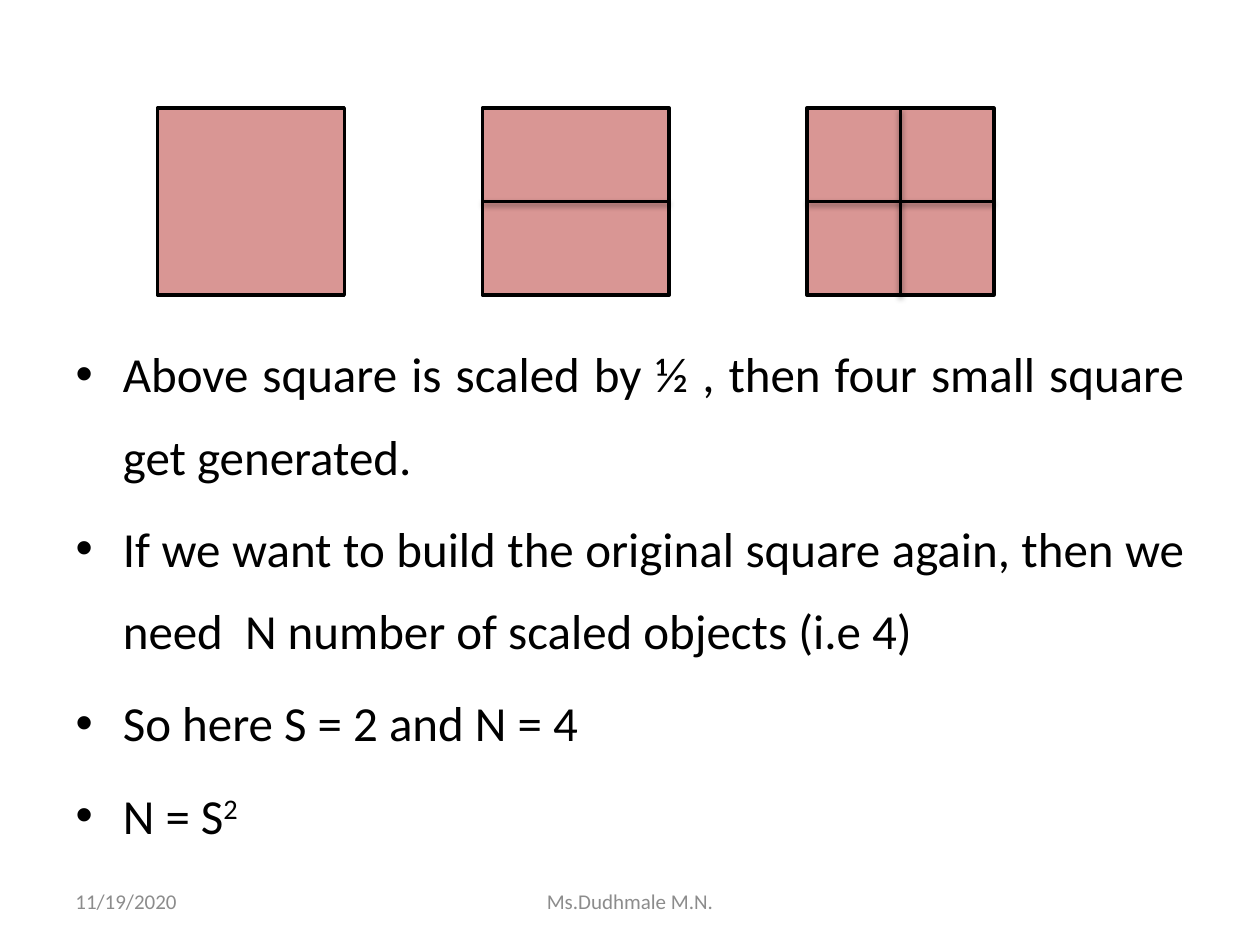
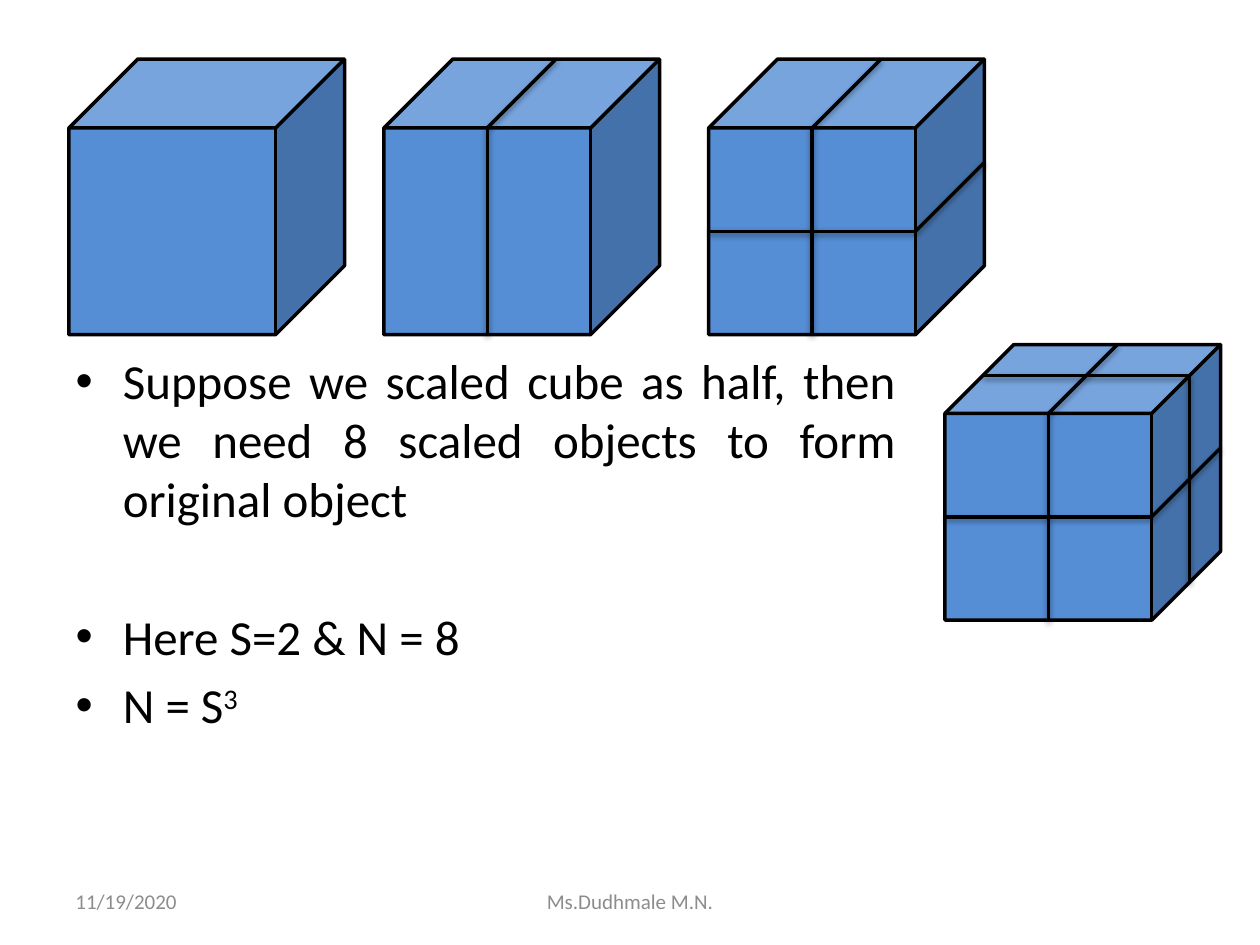
import pptx
import pptx.dml.color
import pptx.enum.shapes
import pptx.enum.text
import pptx.oxml
import pptx.oxml.ns
import pptx.util

Pt = pptx.util.Pt
Shape = pptx.enum.shapes.MSO_SHAPE
Align = pptx.enum.text.PP_ALIGN

COLORS = {"ink": "000000", "footer": "8C8C8C", "square": "D99694", "cube": "558ED5"}
FONT = "Calibri"
LINE_WIDTH = 2
BULLET_GAP = 5.6
CUBE_SIZE = 157.5
CUBE_DEPTH = CUBE_SIZE / 4
SHADOW = (
    f'<a:effectLst {pptx.oxml.ns.nsdecls("a")}>'
    '<a:outerShdw blurRad="40000" dist="20000" dir="5400000" rotWithShape="0">'
    '<a:srgbClr val="000000"><a:alpha val="38000"/></a:srgbClr>'
    '</a:outerShdw></a:effectLst>'
)


def rgb(name):
    return pptx.dml.color.RGBColor.from_string(COLORS[name])


def write_text(paragraph, text, size=28, color="ink", align=None, superscript=False):
    """Add one formatted run to a paragraph."""
    if align is not None:
        paragraph.alignment = align
    run = paragraph.add_run()
    run.text = text
    run.font.name = FONT
    run.font.size = Pt(size)
    run.font.color.rgb = rgb(color)
    if superscript:
        run.font._element.set("baseline", "30000")


class Deck:
    """Holds the presentation, its style and the current slide."""

    def __init__(self):
        self.presentation = pptx.Presentation()
        self.presentation.slide_width = Pt(720)
        self.presentation.slide_height = Pt(540)
        self.slide = None

    def new_slide(self):
        layout = self.presentation.slide_layouts[1]
        self.slide = self.presentation.slides.add_slide(layout)
        title = self.slide.shapes.title.element
        title.getparent().remove(title)

    def bullets(self, left, top, width, height, items, line_spacing=1.0):
        """Each item is (text, superscript, space before)."""
        body = self.slide.placeholders[1]
        body.left, body.top, body.width, body.height = map(Pt, (left, top, width, height))
        frame = body.text_frame
        frame.auto_size = pptx.enum.text.MSO_AUTO_SIZE.NONE
        for index, (text, superscript, gap) in enumerate(items):
            paragraph = frame.add_paragraph() if index else frame.paragraphs[0]
            paragraph.line_spacing = line_spacing
            paragraph.space_before = Pt(gap)
            write_text(paragraph, text, align=Align.JUSTIFY)
            if superscript:
                write_text(paragraph, superscript, superscript=True)

    def solid(self, kind, left, top, size, color):
        shape = self.slide.shapes.add_shape(kind, Pt(left), Pt(top), Pt(size), Pt(size))
        shape.shadow.inherit = False
        shape.fill.solid()
        shape.fill.fore_color.rgb = rgb(color)
        shape.line.color.rgb = rgb("ink")
        shape.line.width = Pt(LINE_WIDTH)
        return shape

    def line(self, x1, y1, x2, y2):
        connector = self.slide.shapes.add_connector(
            pptx.enum.shapes.MSO_CONNECTOR.STRAIGHT, Pt(x1), Pt(y1), Pt(x2), Pt(y2))
        connector.line.color.rgb = rgb("ink")
        connector.line.width = Pt(LINE_WIDTH)
        connector._element.spPr.append(pptx.oxml.parse_xml(SHADOW))
        return connector

    def square(self, left, top, size, cuts=()):
        """Draw a square, cut between the given pairs of opposite sides."""
        square = self.solid(Shape.RECTANGLE, left, top, size, "square")
        for begin, end in cuts:
            cut = self.line(left, top, left + size, top + size)
            cut.begin_connect(square, begin)
            cut.end_connect(square, end)

    def cube(self, left, top, cuts=()):
        """Draw a cube, halved by width, height or depth."""
        self.solid(Shape.CUBE, left, top, CUBE_SIZE, "cube")
        front = CUBE_SIZE - CUBE_DEPTH
        front_top, front_right = top + CUBE_DEPTH, left + front
        bottom, right = top + CUBE_SIZE, left + CUBE_SIZE
        if "width" in cuts:
            middle = left + front / 2
            self.line(middle, front_top, middle, bottom)
            self.line(middle + CUBE_DEPTH, top, middle, front_top)
        if "height" in cuts:
            middle = front_top + front / 2
            self.line(left, middle, front_right, middle)
            self.line(right, middle - CUBE_DEPTH, front_right, middle)
        if "depth" in cuts:
            shift = CUBE_DEPTH * 0.55
            edge_x, edge_y = front_right + shift, front_top - shift
            self.line(left + shift, edge_y, edge_x, edge_y)
            self.line(edge_x, edge_y, edge_x, bottom - shift)

    def footer(self):
        for text, left, width, align in (
            ("11/19/2020", 36, 168, Align.LEFT),
            ("Ms.Dudhmale M.N.", 246, 228, Align.CENTER),
        ):
            box = self.slide.shapes.add_textbox(Pt(left), Pt(500.5), Pt(width), Pt(28.75))
            frame = box.text_frame
            frame.word_wrap = True
            frame.vertical_anchor = pptx.enum.text.MSO_ANCHOR.MIDDLE
            write_text(frame.paragraphs[0], text, size=12, color="footer", align=align)


def main():
    deck = Deck()

    # Scaling a square
    deck.new_slide()
    deck.bullets(36, 179.5, 648, 321, [
        ("Above square is scaled by ½ , then four small square get generated.", "", BULLET_GAP),
        ("If we want to build the original square again, then we need  N number of "
         "scaled objects (i.e 4)", "", BULLET_GAP),
        ("So here S = 2 and N = 4", "", BULLET_GAP),
        ("N = S", "2", BULLET_GAP),
    ], line_spacing=1.4)
    across, down = (1, 3), (0, 2)
    for index, cuts in enumerate([(), (across,), (down, across)]):
        deck.square(90 + index * 185.6, 61.8, 106.8, cuts)
    deck.footer()

    # Scaling a cube
    deck.new_slide()
    deck.bullets(36, 196.9, 483, 286, [
        ("Suppose we scaled cube as half, then we need 8 scaled objects to form "
         "original object", "", BULLET_GAP),
        ("Here S=2 & N = 8", "", 45),
        ("N = S", "3", BULLET_GAP),
    ])
    for left, top, cuts in (
        (39.4, 33.75, ()),
        (219.4, 33.75, ("width",)),
        (405, 33.75, ("width", "height")),
        (540, 196.9, ("width", "height", "depth")),
    ):
        deck.cube(left, top, cuts)
    deck.footer()

    deck.presentation.save("out.pptx")


if __name__ == "__main__":
    main()
